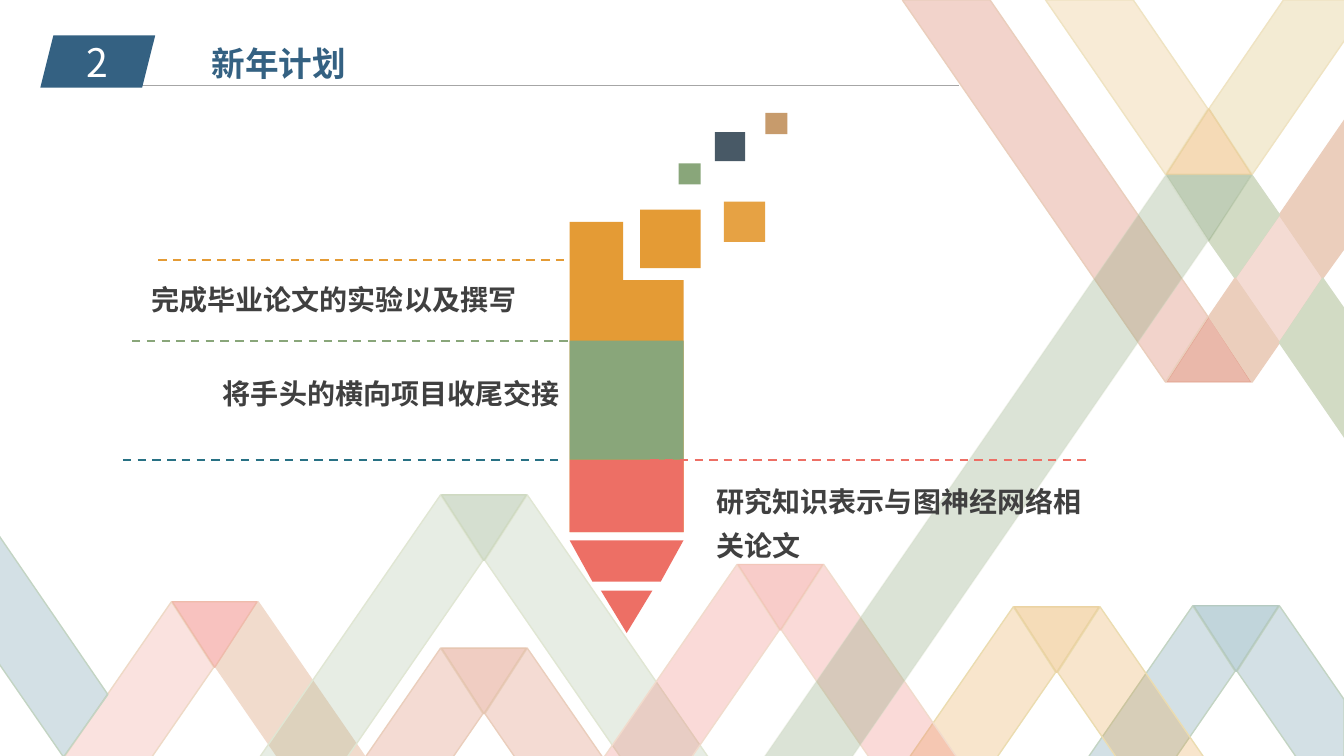
from lxml import etree
from pptx import Presentation
from pptx.dml.color import RGBColor
from pptx.enum.dml import MSO_LINE
from pptx.enum.shapes import MSO_CONNECTOR, MSO_SHAPE
from pptx.enum.text import MSO_ANCHOR, MSO_AUTO_SIZE, PP_ALIGN
from pptx.oxml.ns import qn
from pptx.util import Inches, Pt

STRAIGHT = MSO_CONNECTOR.STRAIGHT
RECTANGLE = MSO_SHAPE.RECTANGLE
TRIANGLE = MSO_SHAPE.ISOSCELES_TRIANGLE
TRAPEZOID = MSO_SHAPE.FLOWCHART_MANUAL_OPERATION
PARALLELOGRAM = MSO_SHAPE.PARALLELOGRAM
DASH = MSO_LINE.DASH
LEFT, CENTER, RIGHT = PP_ALIGN.LEFT, PP_ALIGN.CENTER, PP_ALIGN.RIGHT
MIDDLE = MSO_ANCHOR.MIDDLE
FIT_TEXT = MSO_AUTO_SIZE.SHAPE_TO_FIT_TEXT

FONT = "Noto Sans CJK SC"
SLIDE_W, SLIDE_H = 13.33, 7.5
SLOPE = 1.45
CAP_W, CAP_H = 0.84, 0.65
COLORS = {
    "navy": "346182", "white": "FFFFFF", "text": "404040", "rule": "A6A6A6",
    "orange": "E49B35", "green": "89A67A", "coral": "ED6F65", "teal": "287184",
    "slate": "324554", "tan": "C79B6C", "rose": "EE8F82", "red": "ED5249",
    "brick": "D57053", "sage": "A2B894", "moss": "88A378", "blue": "508799",
    "gold": "E7B05E", "cream": "EFE3C2", "sand": "F1DBCC", "clay": "EBCEBC",
    "mint": "D2DBC4", "rose edge": "EED9C6", "red edge": "EFBBAB",
    "coral edge": "F2C7BA", "brick edge": "EACEBC", "brick cap edge": "E6C6B1",
    "sage edge": "E0E6D3", "green edge": "CFDAC2", "blue edge": "C3D4C3",
    "blue cap edge": "B5CAC1", "gold edge": "EBDCB0", "gold cap edge": "EBD3A3",
    "moss edge": "B3C4A5", "fold edge": "DF9B83",
}


def rgb(name):
    return RGBColor.from_string(COLORS[name])


def paint(fill, color, opacity=100):
    fill.solid()
    fill.fore_color.rgb = rgb(color)
    if opacity < 100:
        srgb = fill._xPr.find(qn("a:solidFill")).find(qn("a:srgbClr"))
        etree.SubElement(srgb, qn("a:alpha")).set("val", str(opacity * 1000))


def outline(slide, points, fill, opacity=100, edge=None, edge_opacity=100):
    corners = [(Inches(x), Inches(y)) for x, y in points]
    builder = slide.shapes.build_freeform(*corners[0])
    builder.add_line_segments(corners[1:], close=True)
    shape = builder.convert_to_shape()
    shape.shadow.inherit = False
    paint(shape.fill, fill, opacity)
    if edge:
        paint(shape.line.fill, edge, edge_opacity)
        shape.line.width = Pt(1)
    else:
        shape.line.fill.background()


def block(slide, kind, left, top, width, height, color, opacity=100):
    shape = slide.shapes.add_shape(
        kind, Inches(left), Inches(top), Inches(width), Inches(height))
    shape.shadow.inherit = False
    paint(shape.fill, color, opacity)
    shape.line.fill.background()
    return shape


def rule(slide, start, end, y, color, width, dash=None):
    line = slide.shapes.add_connector(
        STRAIGHT, Inches(start), Inches(y), Inches(end), Inches(y))
    line.line.color.rgb = rgb(color)
    line.line.width = Pt(width)
    if dash:
        line.line.dash_style = dash
    etree.SubElement(line._element.spPr, qn("a:effectLst"))


def write(frame, words, size, color, bold=False, align=LEFT, spacing=None):
    paragraph = frame.paragraphs[0]
    paragraph.text = words
    paragraph.alignment = align
    if spacing:
        paragraph.line_spacing = spacing
    font = paragraph.font
    font.size, font.bold = Pt(size), bold
    font.color.rgb = rgb(color)
    font.name = FONT
    defaults = paragraph._p.pPr.find(qn("a:defRPr"))
    etree.SubElement(defaults, qn("a:ea")).set("typeface", FONT)


def label(slide, words, left, top, width, height, size, color,
          align=LEFT, spacing=None, wrap=True):
    box = slide.shapes.add_textbox(
        Inches(left), Inches(top), Inches(width), Inches(height))
    box.text_frame.word_wrap = wrap
    box.text_frame.auto_size = FIT_TEXT
    write(box.text_frame, words, size, color, True, align, spacing)


def cap(slide, left, base, direction, *style):
    outline(slide, [(left, base), (left + CAP_W, base),
                    (left + CAP_W / 2, base + direction * CAP_H)], *style)


def peak(slide, left, top, bottom, left_arm, right_arm, top_cap):
    right = left + 0.86
    run = (bottom - top) / SLOPE
    inner_run = (bottom - top - CAP_H) / SLOPE
    tip = top + CAP_H
    outline(slide, [(left, top), (left + 0.42, tip),
                    (left + 0.42 - inner_run, bottom), (left - run, bottom)],
            *left_arm)
    foot = [(right + run, bottom)]
    if right + run > SLIDE_W:
        foot = [(SLIDE_W, top + (SLIDE_W - right) * SLOPE), (SLIDE_W, bottom)]
    outline(slide, [(right, top), *foot, (right - 0.42 + inner_run, bottom),
                    (right - 0.42, tip)], *right_arm)
    cap(slide, left + 0.01, top, 1, *top_cap)


def lower_ribbons(slide, left, top):
    rose = ("rose", 25, "rose edge")
    sand = ("sand", 100, "sand")
    coral = ("coral", 25, "sand")
    sage = ("sage", 25, "sage edge")
    blue = ("blue", 25, "blue edge")
    brick = ("brick", 25, "brick edge")
    orange = ("orange", 25, "gold edge")
    peaks = [
        (1.7, 1.06, 2.63, rose, sand, ("red", 35, "red edge")),
        (4.37, 0, 2.64, sage, sage, ("green", 35, "green edge")),
        (4.37, 1.52, 2.63, brick, brick, ("brick", 35, "brick cap edge")),
        (11.83, 1.1, 2.61, blue, blue, ("blue", 35, "blue cap edge")),
        (10.05, 1.11, 2.64, orange, orange, ("orange", 35, "gold cap edge")),
        (7.31, 0.69, 2.63, coral, coral, ("coral", 35, "coral edge")),
    ]
    for x, y, bottom, *styles in peaks:
        peak(slide, left + x, top + y, top + bottom, *styles)
    corner = [(-0.04, 0.36), (1.07, 1.98), (0.63, 2.6), (-0.04, 1.63)]
    outline(slide, [(left + x, top + y) for x, y in corner], *blue)


def upper_lattice(slide, left, top):
    clay = ("clay", 100, "clay")
    mint = ("mint", 100, "mint")
    cap(slide, left + 4.07, top + 3.79, -1, "brick", 49, "fold edge", 49)
    bands = [
        ([(2.87, 0), (3.74, 0), (4.48, 1.08), (4.06, 1.73)],
         ("gold", 25, "cream")),
        ([(5.23, 0), (5.85, 0), (5.85, 0.38), (4.92, 1.73), (4.49, 1.08)],
         ("cream", 71, "cream")),
        ([(5.19, 2.13), (5.62, 2.76), (5.19, 3.4), (4.75, 2.76)],
         ("brick", 25, "brick edge")),
        ([(5.85, 1.17), (5.85, 2.44), (5.62, 2.76), (5.19, 2.13)], clay),
        ([(4.92, 1.74), (5.19, 2.13), (4.75, 2.76), (4.49, 2.39)], mint),
        ([(4.75, 2.76), (5.19, 3.4), (4.92, 3.79), (4.49, 3.14)], clay),
        ([(5.62, 2.76), (5.85, 3.09), (5.85, 4.36), (5.19, 3.4)], mint),
        ([(1.45, 0), (2.32, 0), (4.48, 3.14), (4.06, 3.79)],
         ("brick", 30, "brick edge")),
        ([(4.06, 1.74), (4.48, 2.39), (0.93, 7.54), (0.06, 7.54)],
         ("moss", 30, "mint", 30)),
    ]
    for points, style in bands:
        outline(slide, [(left + x, top + y) for x, y in points], *style)
    cap(slide, left + 4.07, top + 1.73, -1, "orange", 36, "gold cap edge")
    cap(slide, left + 4.07, top + 1.74, 1, "moss", 53, "moss edge", 53)


def header(slide, left, top):
    rule(slide, left + 0.47, left + 9.11, top + 0.5, "rule", 0.5)
    number = block(slide, PARALLELOGRAM, left, top, 1.14, 0.52, "navy")
    number.text_frame.vertical_anchor = MIDDLE
    write(number.text_frame, "2", 28, "white", align=CENTER)
    label(slide, "新年计划", left + 1.6, top + 0.03, 1.55, 0.5, 24, "navy",
          wrap=False)


def pencil(slide, left, top, width):
    tip = block(slide, TRIANGLE, left + 0.31, top + 4.74, 0.51, 0.42, "coral")
    tip.rotation = 180
    block(slide, TRAPEZOID, left, top + 4.24, width, 0.41, "coral")
    body = [(0, 1.08), (0.53, 1.08), (0.53, 1.66), (width, 1.66),
            (width, 4.16), (0, 4.16)]
    outline(slide, [(left + x, top + y) for x, y in body], "orange")
    for x, y, w, h, color, opacity in [
        (0.7, 0.96, 0.6, 0.58, "orange", 100),
        (1.08, 0.5, 0.22, 0.21, "green", 100),
        (1.94, 0, 0.22, 0.21, "tan", 100),
        (1.44, 0.19, 0.3, 0.29, "slate", 89),
        (1.53, 0.88, 0.41, 0.4, "orange", 92),
        (0, 3.44, width, 0.72, "coral", 100),
        (0, 2.26, width, 1.18, "green", 100),
    ]:
        block(slide, RECTANGLE, left + x, top + y, w, h, color, opacity)
    

def plans(slide, left, top):
    for start, end, y, color in [
        (0.35, 4.69, 0, "orange"), (0.09, 4.43, 0.8, "green"),
        (0, 4.34, 1.98, "teal"), (5.23, 9.57, 1.98, "coral"),
    ]:
        rule(slide, left + start, left + end, top + y, color, 1.5, DASH)
    for words, x, y, width, height, align in [
        ("完成毕业论文的实验以及撰写", -1, 0.07, 5, 0.5, RIGHT),
        ("将手头的横向项目收尾交接", -0.57, 1.01, 5, 0.5, RIGHT),
        ("研究知识表示与图神经网络相关论文", 5.79, 2.08, 4.03, 0.93, LEFT),
    ]:
        label(slide, words, left + x, top + y, width, height, 20, "text",
              align, 1.3)


def main():
    deck = Presentation()
    deck.slide_width, deck.slide_height = Inches(SLIDE_W), Inches(SLIDE_H)
    slide = deck.slides.add_slide(deck.slide_layouts[6])
    lower_ribbons(slide, 0, 4.91)
    upper_lattice(slide, 7.5, 0)
    header(slide, 0.4, 0.35)
    pencil(slide, 5.65, 1.12, 1.13)
    plans(slide, 1.22, 2.58)
    deck.save("out.pptx")


if __name__ == "__main__":
    main()
